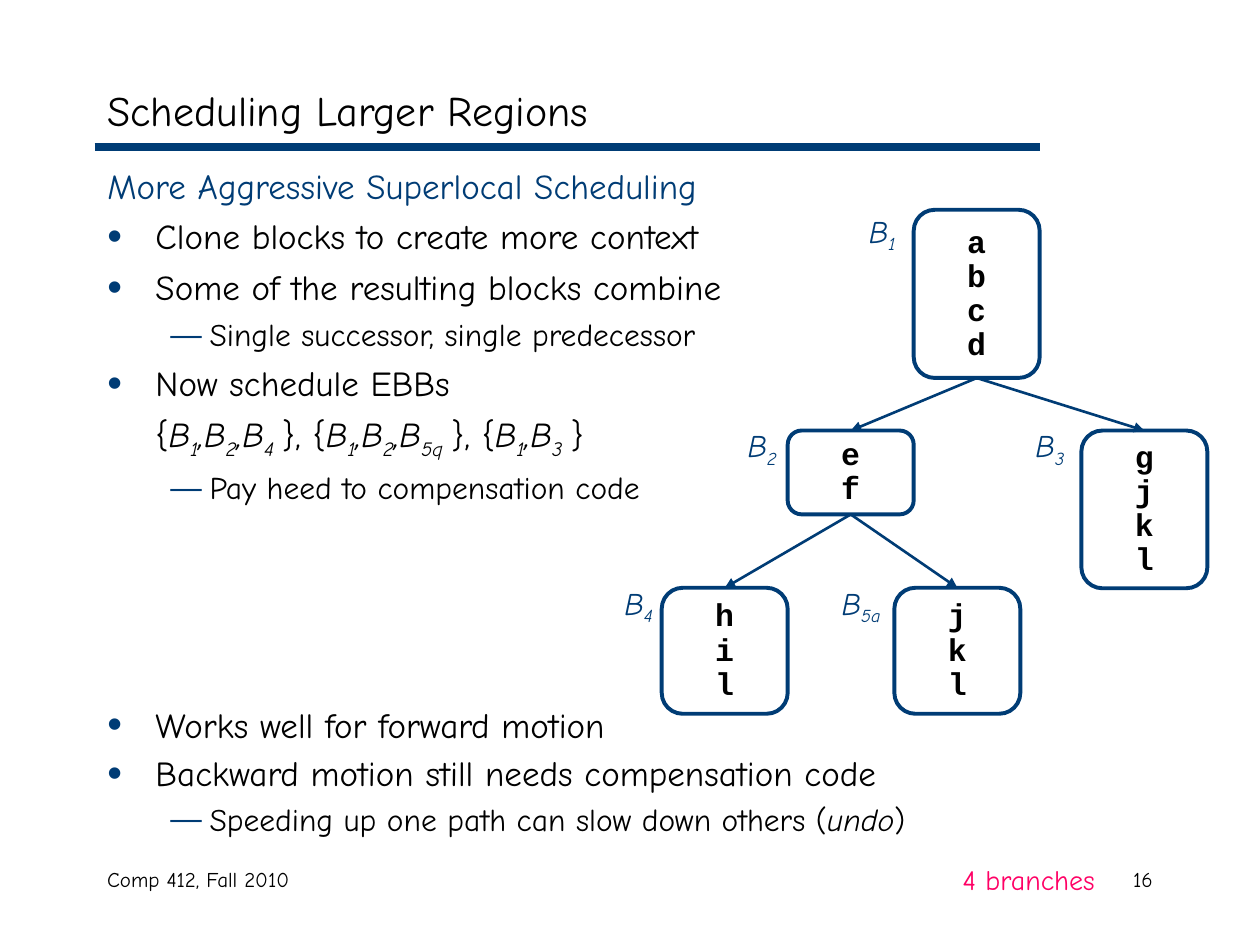
import dataclasses

import lxml.etree
import pptx
import pptx.dml.color
import pptx.enum.shapes
import pptx.enum.text
import pptx.oxml.ns
import pptx.util

Cm = pptx.util.Cm
Pt = pptx.util.Pt
qn = pptx.oxml.ns.qn
Align = pptx.enum.text.PP_ALIGN


@dataclasses.dataclass(frozen=True)
class Theme:
    navy: str = "003C75"
    black: str = "000000"
    pink: str = "FF0065"
    font: str = "Comic Neue"
    code_font: str = "Courier New"
    title: float = 24
    body: float = 20
    detail: float = 18
    gap: float = 14
    remark: float = 16
    footer: float = 12


theme = Theme()


def write_spans(para, spans, size, color, font=theme.font):
    for text, style in spans:
        span = para.add_run()
        span.text = text
        span.font.name = font
        span.font.size = Pt(theme.gap if style == "gap" else size)
        span.font.color.rgb = pptx.dml.color.RGBColor.from_string(color)
        span.font.bold = style == "bold"
        span.font.italic = style in ("italic", "sub")
        if style == "sub":
            span.font._rPr.set("baseline", "-25000")


def add_text(left, top, width, height, spans, size, color, align):
    box = slide.shapes.add_textbox(Cm(left), Cm(top), Cm(width), Cm(height))
    box.text_frame.word_wrap = True
    para = box.text_frame.paragraphs[0]
    para.alignment = align
    write_spans(para, spans, size, color)


deck = pptx.Presentation()
deck.slide_width, deck.slide_height = Cm(25.4), Cm(19.05)
slide = deck.slides.add_slide(deck.slide_layouts[1])
title, body = slide.placeholders

rule = slide.shapes.add_connector(
    pptx.enum.shapes.MSO_CONNECTOR.STRAIGHT, Cm(1.91), Cm(2.97), Cm(20.96), Cm(2.97))
rule.line.width = Pt(4.5)

title.left, title.top, title.width, title.height = Cm(1.91), Cm(1.48), Cm(21.59), Cm(1.48)
title_para = title.text_frame.paragraphs[0]
title_para.alignment = Align.LEFT
write_spans(title_para, [("Scheduling Larger Regions", "")], theme.title, theme.black)

block_sets = [("{", "")]
for closing, names in (("}, {", "124"), ("}, {", ["1", "2", "5q"]), ("}", "13")):
    for position, name in enumerate(names):
        block_sets += [(",B" if position else "B", "italic"), (name, "sub")]
    block_sets += [(" ", "gap"), (closing, "")]

levels = {
    "heading": (0, 0.97, -0.97, None, theme.body, theme.navy),
    "point": (0, 0.97, -0.97, "•", theme.body, theme.black),
    "sets": (0, 0.97, 0, None, theme.body, theme.black),
    "detail": (1, 2.06, -0.79, "—", theme.detail, theme.black),
}
body_lines = [
    ("heading", 0, [("More Aggressive Superlocal Scheduling", "")]),
    ("point", 5, [("Clone blocks to create more context", "")]),
    ("point", 5, [("Some of the resulting blocks combine", "")]),
    ("detail", 4.5, [("Single successor, single predecessor", "")]),
    ("point", 5, [("Now schedule EBBs", "")]),
    ("sets", 5, block_sets),
    ("detail", 4.5, [("Pay heed to compensation code", "")]),
    ("point", 112.7, [("Works well for forward motion", "")]),
    ("point", 3.7, [("Backward motion still needs compensation code", "")]),
    ("detail", 3.4, [("Speeding up one path can slow down others (", ""),
                     ("undo", "italic"), (")", "")]),
]
body.left, body.top, body.width, body.height = Cm(1.91), Cm(3.18), Cm(21.59), Cm(13.76)
body.text_frame.auto_size = pptx.enum.text.MSO_AUTO_SIZE.NONE
for index, (kind, space, spans) in enumerate(body_lines):
    para = body.text_frame.add_paragraph() if index else body.text_frame.paragraphs[0]
    level, margin, indent, bullet, size, color = levels[kind]
    para.level = level
    para.space_before = Pt(space)
    properties = para._p.get_or_add_pPr()
    properties.set("marL", str(Cm(margin)))
    properties.set("indent", str(Cm(indent)))
    if bullet:
        bullet_color = lxml.etree.SubElement(properties, qn("a:buClr"))
        lxml.etree.SubElement(bullet_color, qn("a:srgbClr"), val=theme.navy)
        percent = "120000" if kind == "point" else "100000"
        lxml.etree.SubElement(properties, qn("a:buSzPct"), val=percent)
        lxml.etree.SubElement(properties, qn("a:buChar"), char=bullet)
    else:
        lxml.etree.SubElement(properties, qn("a:buNone"))
    write_spans(para, spans, size, color)

blocks = {
    "1": (18.42, 4.23, 3.39, "abcd", 17.15, 4.14, 1.27),
    "2": (15.88, 8.68, 1.69, "ef", 14.73, 8.46, 1.27),
    "3": (21.8, 8.68, 3.18, "gjkl", 20.53, 8.46, 1.27),
    "4": (13.34, 11.85, 2.54, "hil", 12.24, 11.64, 1.27),
    "5a": (18.03, 11.85, 2.54, "jkl", 16.51, 11.64, 1.7),
}
block_shapes = {}
for name, (left, top, height, code, label_left, label_top, label_width) in blocks.items():
    block = slide.shapes.add_shape(
        pptx.enum.shapes.MSO_SHAPE.ROUNDED_RECTANGLE, Cm(left), Cm(top), Cm(2.54), Cm(height))
    block_shapes[name] = block
    block.shadow.inherit = False
    block.fill.background()
    block.line.color.rgb = pptx.dml.color.RGBColor.from_string(theme.navy)
    block.line.width = Pt(2.25)
    block.text_frame.word_wrap = False
    block.text_frame.vertical_anchor = pptx.enum.text.MSO_ANCHOR.MIDDLE
    for index, letter in enumerate(code):
        para = block.text_frame.add_paragraph() if index else block.text_frame.paragraphs[0]
        para.alignment = Align.CENTER
        para.line_spacing = 0.9
        write_spans(para, [(letter, "bold")], theme.detail, theme.black, theme.code_font)
    add_text(label_left, label_top, label_width, 1.11, [("B", "italic"), (name, "sub")],
             theme.detail, theme.navy, Align.CENTER)

connectors = [rule]
for parent, child in (("1", "2"), ("1", "3"), ("2", "4"), ("2", "5a")):
    arrow = slide.shapes.add_connector(pptx.enum.shapes.MSO_CONNECTOR.STRAIGHT, 0, 0, 0, 0)
    arrow.begin_connect(block_shapes[parent], 2)
    arrow.end_connect(block_shapes[child], 0)
    arrow.line.width = Pt(1.5)
    connectors.append(arrow)
for connector in connectors:
    connector.line.color.rgb = pptx.dml.color.RGBColor.from_string(theme.navy)
    if connector is not rule:
        lxml.etree.SubElement(connector.line._get_or_add_ln(), qn("a:tailEnd"), type="triangle")
    lxml.etree.SubElement(connector._element.spPr, qn("a:effectLst"))

add_text(1.91, 17.35, 8.05, 1.27, [("Comp 412, Fall 2010", "")],
         theme.footer, theme.black, Align.LEFT)
add_text(18.21, 17.35, 5.28, 1.27, [("16", "")], theme.footer, theme.black, Align.RIGHT)
add_text(18.62, 17.27, 4.24, 0.94, [("4 branches", "")], theme.remark, theme.pink, Align.CENTER)

deck.save("out.pptx")
